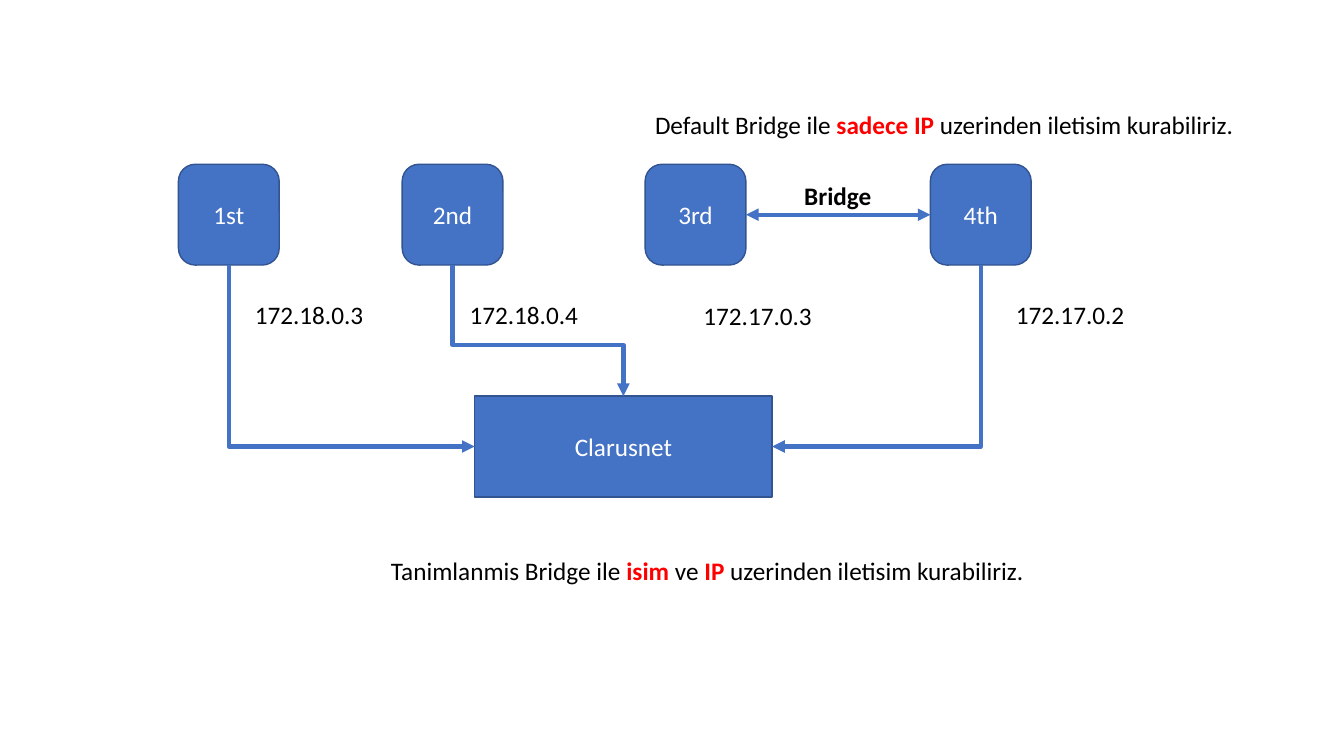
import dataclasses

import lxml.etree
import pptx
import pptx.dml.color
import pptx.enum.shapes
import pptx.enum.text
import pptx.oxml.ns
import pptx.util

SHAPES = pptx.enum.shapes.MSO_SHAPE
CONNECTORS = pptx.enum.shapes.MSO_CONNECTOR
TOP, LEFT, BOTTOM, RIGHT = range(4)


@dataclasses.dataclass(frozen=True)
class Theme:
    """Colours, font, type size and line widths of the slide."""
    fill: str = "4472C4"
    outline: str = "325491"
    light: str = "FFFFFF"
    text: str = "000000"
    accent: str = "FF0000"
    font: str = "Calibri"
    size: int = 18
    outline_width: int = 1
    arrow_width: int = 3


class Diagram:
    """Draws network elements on one slide, on a grid of 80 by 45 cells."""
    columns, rows = 80, 45

    def __init__(self, presentation, theme):
        """Add a blank slide and work out the size of a grid cell."""
        self.theme = theme
        self.slide = presentation.slides.add_slide(presentation.slide_layouts[6])
        self.column = presentation.slide_width / self.columns
        self.row = presentation.slide_height / self.rows

    def place(self, left, top, width, height):
        """Turn grid cells into slide lengths."""
        return (round(left * self.column), round(top * self.row),
                round(width * self.column), round(height * self.row))

    def color(self, value):
        """Return a colour object for a hexadecimal value."""
        return pptx.dml.color.RGBColor.from_string(value)

    def add_run(self, paragraph, text, color, bold=False):
        """Add one formatted run to a paragraph."""
        run = paragraph.add_run()
        run.text = text
        run.font.name = self.theme.font
        run.font.size = pptx.util.Pt(self.theme.size)
        run.font.bold = bold
        run.font.color.rgb = self.color(color)

    def add_box(self, preset, text, *cells):
        """Add a filled box with centred text."""
        shape = self.slide.shapes.add_shape(preset, *self.place(*cells))
        shape.shadow.inherit = False
        shape.fill.solid()
        shape.fill.fore_color.rgb = self.color(self.theme.fill)
        shape.line.color.rgb = self.color(self.theme.outline)
        shape.line.width = pptx.util.Pt(self.theme.outline_width)
        shape.text_frame.vertical_anchor = pptx.enum.text.MSO_ANCHOR.MIDDLE
        paragraph = shape.text_frame.paragraphs[0]
        paragraph.alignment = pptx.enum.text.PP_ALIGN.CENTER
        self.add_run(paragraph, text, self.theme.light)
        return shape

    def add_label(self, runs, left, top, width, height=2.4):
        """Add a one-line text box from (text, colour, bold) runs."""
        shape = self.slide.shapes.add_textbox(*self.place(left, top, width, height))
        shape.text_frame.word_wrap = False
        shape.text_frame.auto_size = pptx.enum.text.MSO_AUTO_SIZE.SHAPE_TO_FIT_TEXT
        for run in runs:
            self.add_run(shape.text_frame.paragraphs[0], *run)

    def add_arrow(self, kind, start, start_site, end, end_site, ends=("tailEnd",)):
        """Join two boxes with an arrow."""
        connector = self.slide.shapes.add_connector(kind, 0, 0, 0, 0)
        connector.begin_connect(start, start_site)
        connector.end_connect(end, end_site)
        connector.line.color.rgb = self.color(self.theme.fill)
        connector.line.width = pptx.util.Pt(self.theme.arrow_width)
        line = connector.line._get_or_add_ln()
        for name in ends:
            lxml.etree.SubElement(line, pptx.oxml.ns.qn("a:" + name), type="triangle")
        lxml.etree.SubElement(connector._element.spPr, pptx.oxml.ns.qn("a:effectLst"))
        return connector

    def add_elbow(self, start, end, end_site, bend=None):
        """Add an arrow that leaves downwards; bend is the share of its drop."""
        connector = self.add_arrow(CONNECTORS.ELBOW, start, BOTTOM, end, end_site)
        across = connector.end_x - connector.begin_x
        drop = connector.end_y - connector.begin_y
        middle_x = (connector.begin_x + connector.end_x) // 2
        middle_y = (connector.begin_y + connector.end_y) // 2
        connector.width, connector.height = drop, abs(across)
        connector.left = middle_x - drop // 2
        connector.top = middle_y - abs(across) // 2
        properties = connector._element.spPr
        frame = properties.find(pptx.oxml.ns.qn("a:xfrm"))
        frame.set("rot", str((270 if across > 0 else 90) * 60000))
        frame.set("flipH", "1" if across > 0 else "0")
        geometry = properties.find(pptx.oxml.ns.qn("a:prstGeom"))
        if bend is None:
            geometry.set("prst", "bentConnector2")
            return
        adjustments = geometry.find(pptx.oxml.ns.qn("a:avLst"))
        lxml.etree.SubElement(adjustments, pptx.oxml.ns.qn("a:gd"), name="adj1",
                              fmla=f"val {round(bend * 100000)}")


def build():
    """Build the network slide and save it."""
    presentation = pptx.Presentation()
    presentation.slide_width = pptx.util.Inches(13.33)
    presentation.slide_height = pptx.util.Inches(7.5)
    theme = Theme()
    diagram = Diagram(presentation, theme)

    containers = [
        diagram.add_box(SHAPES.ROUNDED_RECTANGLE, name, left, 9.78, 6, 6)
        for name, left in (("1st", 10.62), ("2nd", 23.94), ("3rd", 38.4), ("4th", 55.38))
    ]
    first, second, third, fourth = containers
    network = diagram.add_box(SHAPES.RECTANGLE, "Clarusnet", 28.26, 23.58, 17.7, 6)

    diagram.add_elbow(first, network, LEFT)
    diagram.add_elbow(second, network, TOP, bend=0.61)
    diagram.add_elbow(fourth, network, RIGHT)
    diagram.add_arrow(CONNECTORS.STRAIGHT, third, RIGHT, fourth, LEFT,
                      ends=("headEnd", "tailEnd"))

    for address, left, top in (("172.18.0.3", 14.58, 17.52), ("172.18.0.4", 27.36, 17.52),
                               ("172.17.0.3", 41.28, 17.58), ("172.17.0.2", 59.88, 17.52)):
        diagram.add_label([(address, theme.text)], left, top, 7.74)
    diagram.add_label([("Bridge", theme.text, True)], 47.28, 10.44, 5.22)

    closing = ("uzerinden iletisim kurabiliriz.", theme.text)
    diagram.add_label([("Default Bridge ile ", theme.text),
                       ("sadece IP ", theme.accent, True), closing], 38.4, 6.24, 35.64)
    diagram.add_label([("Tanimlanmis Bridge ile ", theme.text),
                       ("isim ", theme.accent, True), ("ve", theme.text),
                       (" IP ", theme.accent, True), closing], 22.68, 32.76, 39.24)

    presentation.save("out.pptx")


build()
